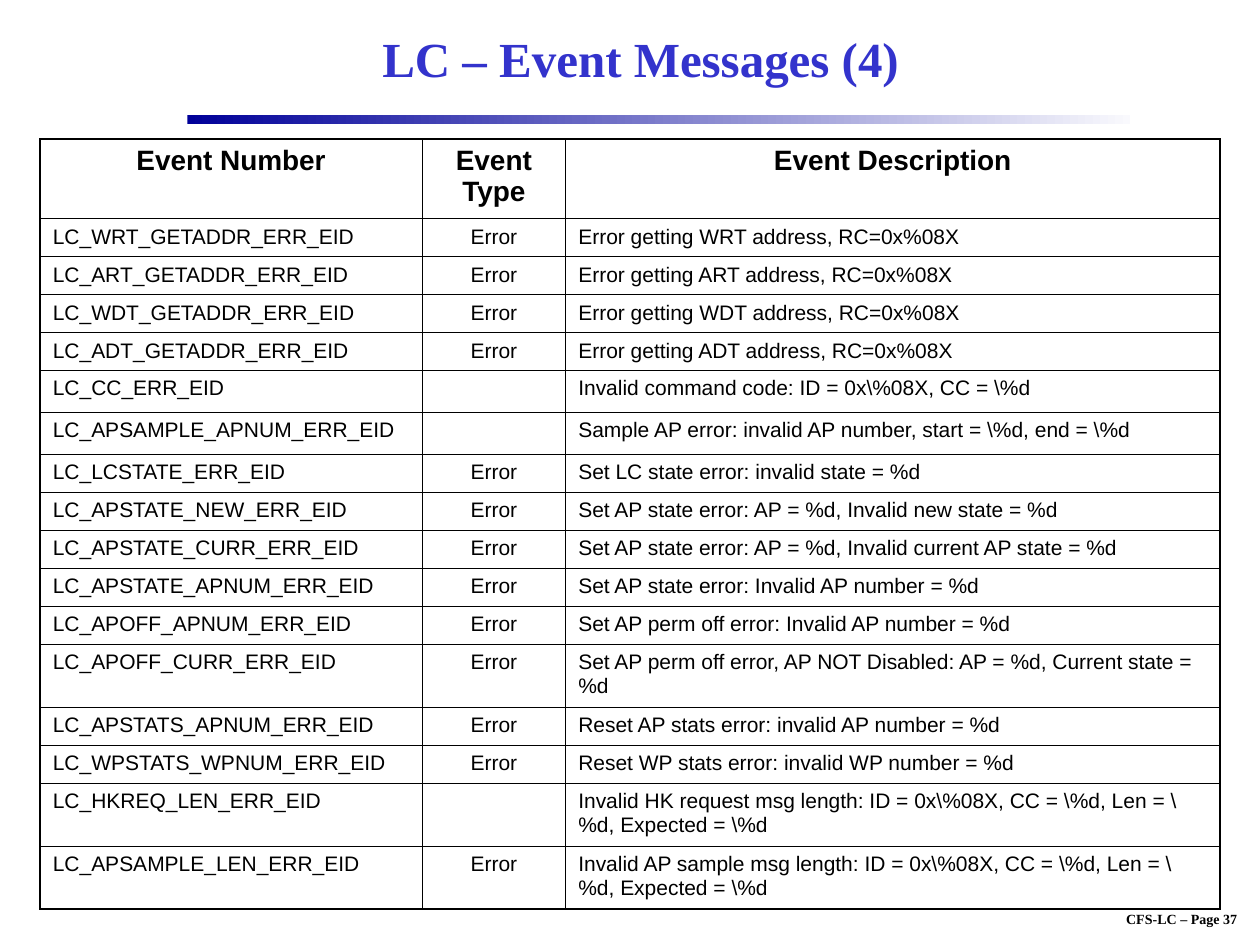
from lxml import etree
from pptx import Presentation
from pptx import util as u
from pptx.dml import color
from pptx.enum import shapes, text
from pptx.oxml import ns

THEME = {
    "title": {"name": "Times New Roman", "size": u.Pt(28), "bold": True, "color": "3333CC"},
    "footer": {"name": "Times New Roman", "size": u.Pt(8), "bold": True, "color": "000000"},
    "header": {"name": "Arial", "size": u.Pt(16), "bold": True, "color": "000000"},
    "body": {"name": "Arial", "size": u.Pt(12), "bold": False, "color": "000000"},
    "rule": ("000099", "F9F9FD"),
    "border": "000000",
}
OUTER_LINE, INNER_LINE = u.Pt(1.08), u.Pt(0.45)
HEADER_HEIGHT, ROW_HEIGHT, UNTYPED_HEIGHT, WRAPPED_HEIGHT = 45, 21.7, 24, 36
COLUMN_WIDTHS = (218.2, 82.1, 373.7)
CENTER, LEFT = text.PP_ALIGN.CENTER, text.PP_ALIGN.LEFT

EVENTS = [
    ("Event Number", "Event Type", "Event Description", HEADER_HEIGHT),
    ("LC_WRT_GETADDR_ERR_EID", "Error", "Error getting WRT address, RC=0x%08X", ROW_HEIGHT),
    ("LC_ART_GETADDR_ERR_EID", "Error", "Error getting ART address, RC=0x%08X", ROW_HEIGHT),
    ("LC_WDT_GETADDR_ERR_EID", "Error", "Error getting WDT address, RC=0x%08X", ROW_HEIGHT),
    ("LC_ADT_GETADDR_ERR_EID", "Error", "Error getting ADT address, RC=0x%08X", ROW_HEIGHT),
    ("LC_CC_ERR_EID", "", r"Invalid command code: ID = 0x\%08X, CC = \%d", UNTYPED_HEIGHT),
    ("LC_APSAMPLE_APNUM_ERR_EID", "",
     r"Sample AP error: invalid AP number, start = \%d, end = \%d", UNTYPED_HEIGHT),
    ("LC_LCSTATE_ERR_EID", "Error", "Set LC state error: invalid state = %d", ROW_HEIGHT),
    ("LC_APSTATE_NEW_ERR_EID", "Error",
     "Set AP state error: AP = %d, Invalid new state = %d", ROW_HEIGHT),
    ("LC_APSTATE_CURR_ERR_EID", "Error",
     "Set AP state error: AP = %d, Invalid current AP state = %d", ROW_HEIGHT),
    ("LC_APSTATE_APNUM_ERR_EID", "Error",
     "Set AP state error: Invalid AP number = %d", ROW_HEIGHT),
    ("LC_APOFF_APNUM_ERR_EID", "Error",
     "Set AP perm off error: Invalid AP number = %d", ROW_HEIGHT),
    ("LC_APOFF_CURR_ERR_EID", "Error",
     "Set AP perm off error, AP NOT Disabled: AP = %d, Current state = %d", WRAPPED_HEIGHT),
    ("LC_APSTATS_APNUM_ERR_EID", "Error",
     "Reset AP stats error: invalid AP number = %d", ROW_HEIGHT),
    ("LC_WPSTATS_WPNUM_ERR_EID", "Error",
     "Reset WP stats error: invalid WP number = %d", ROW_HEIGHT),
    ("LC_HKREQ_LEN_ERR_EID", "",
     r"Invalid HK request msg length: ID = 0x\%08X, CC = \%d, Len = \%d, Expected = \%d",
     WRAPPED_HEIGHT),
    ("LC_APSAMPLE_LEN_ERR_EID", "Error",
     r"Invalid AP sample msg length: ID = 0x\%08X, CC = \%d, Len = \%d, Expected = \%d",
     WRAPPED_HEIGHT),
]


def write_text(frame, wording, style, alignment):
    paragraph = frame.paragraphs[0]
    paragraph.text = wording
    paragraph.alignment = alignment
    for name, value in style.items():
        if name == "color":
            paragraph.font.color.rgb = color.RGBColor.from_string(value)
        else:
            setattr(paragraph.font, name, value)


def add_border(cell, side, width):
    properties = cell._tc.get_or_add_tcPr()
    line = etree.SubElement(properties, ns.qn(f"a:ln{side}"), w=str(width))
    fill = etree.SubElement(line, ns.qn("a:solidFill"))
    etree.SubElement(fill, ns.qn("a:srgbClr"), val=THEME["border"])


presentation = Presentation()
presentation.slide_width, presentation.slide_height = u.Pt(720), u.Pt(540)
slide = presentation.slides.add_slide(presentation.slide_layouts[6])

footer = slide.shapes.add_textbox(u.Pt(622), u.Pt(517), u.Pt(106.6), u.Pt(16.6))
footer.text_frame.word_wrap = False
footer.text_frame.auto_size = text.MSO_AUTO_SIZE.SHAPE_TO_FIT_TEXT
write_text(footer.text_frame, "CFS-LC – Page 37", THEME["footer"], CENTER)

rule = slide.shapes.add_shape(
    shapes.MSO_SHAPE.RECTANGLE, u.Pt(107), u.Pt(66), u.Pt(539), u.Pt(5))
rule.shadow.inherit = False
rule.line.fill.background()
rule.fill.gradient()
rule.fill.gradient_angle = 0
for stop, shade in zip(rule.fill.gradient_stops, THEME["rule"]):
    stop.color.rgb = color.RGBColor.from_string(shade)

title = slide.shapes.add_textbox(u.Pt(108), u.Pt(6), u.Pt(516), u.Pt(54))
title.text_frame.word_wrap = True
title.text_frame.vertical_anchor = text.MSO_ANCHOR.MIDDLE
write_text(title.text_frame, "LC – Event Messages (4)", THEME["title"], CENTER)

table = slide.shapes.add_table(
    len(EVENTS), len(COLUMN_WIDTHS), u.Pt(23), u.Pt(79.4),
    u.Pt(sum(COLUMN_WIDTHS)), u.Pt(sum(event[-1] for event in EVENTS))).table
table.first_row = table.horz_banding = False
for column, width in zip(table.columns, COLUMN_WIDTHS):
    column.width = u.Pt(width)

last_row, last_column = len(EVENTS) - 1, len(COLUMN_WIDTHS) - 1
for row_index, (*wordings, height) in enumerate(EVENTS):
    table.rows[row_index].height = u.Pt(height)
    style = THEME["body"] if row_index else THEME["header"]
    for column_index, wording in enumerate(wordings):
        cell = table.cell(row_index, column_index)
        centered = row_index == 0 or column_index == 1
        write_text(cell.text_frame, wording, style, CENTER if centered else LEFT)
        outer_sides = {
            "L": column_index == 0,
            "R": column_index == last_column,
            "T": row_index == 0,
            "B": row_index == last_row,
        }
        for side, is_outer in outer_sides.items():
            add_border(cell, side, OUTER_LINE if is_outer else INNER_LINE)
        cell.fill.background()

presentation.save("out.pptx")
